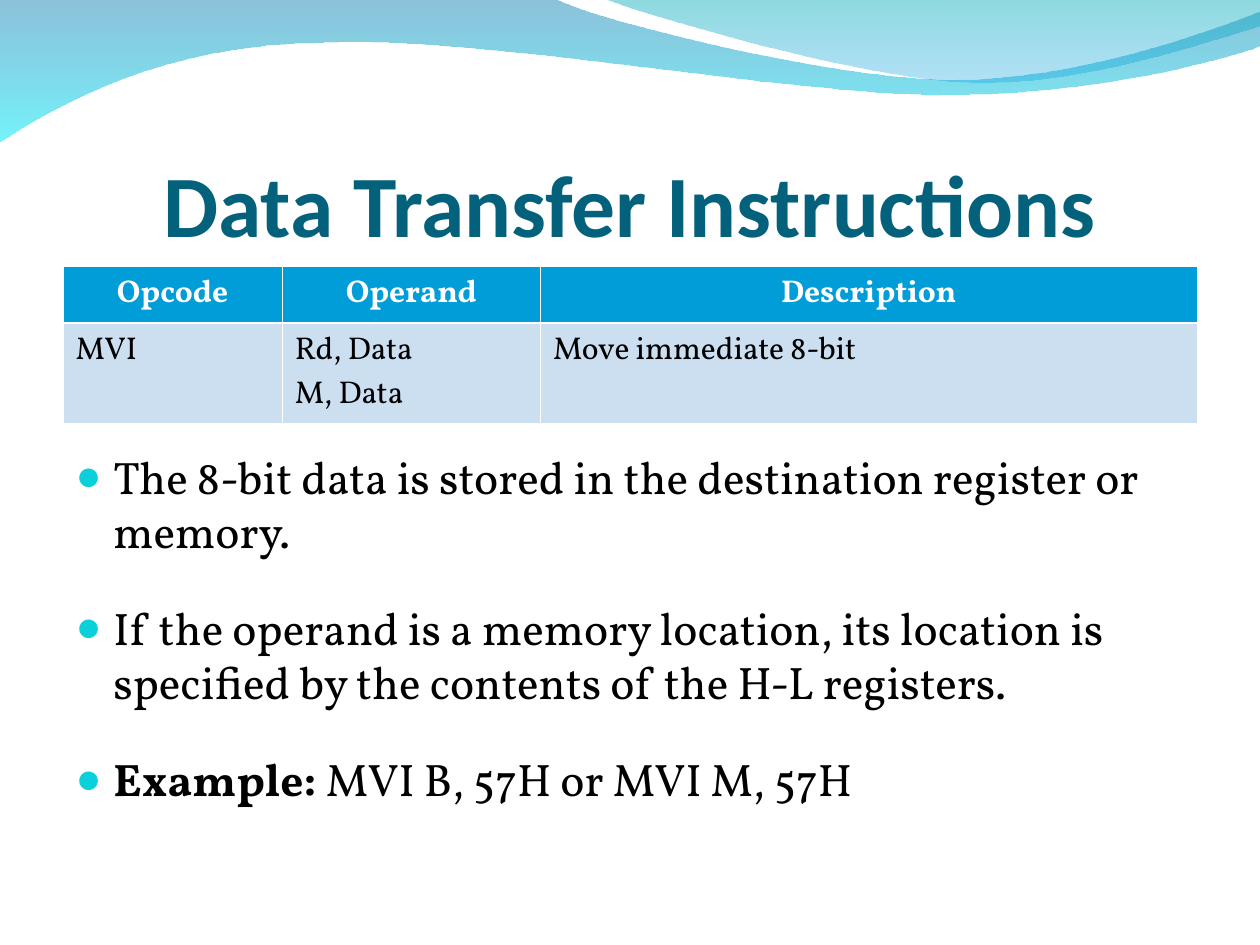
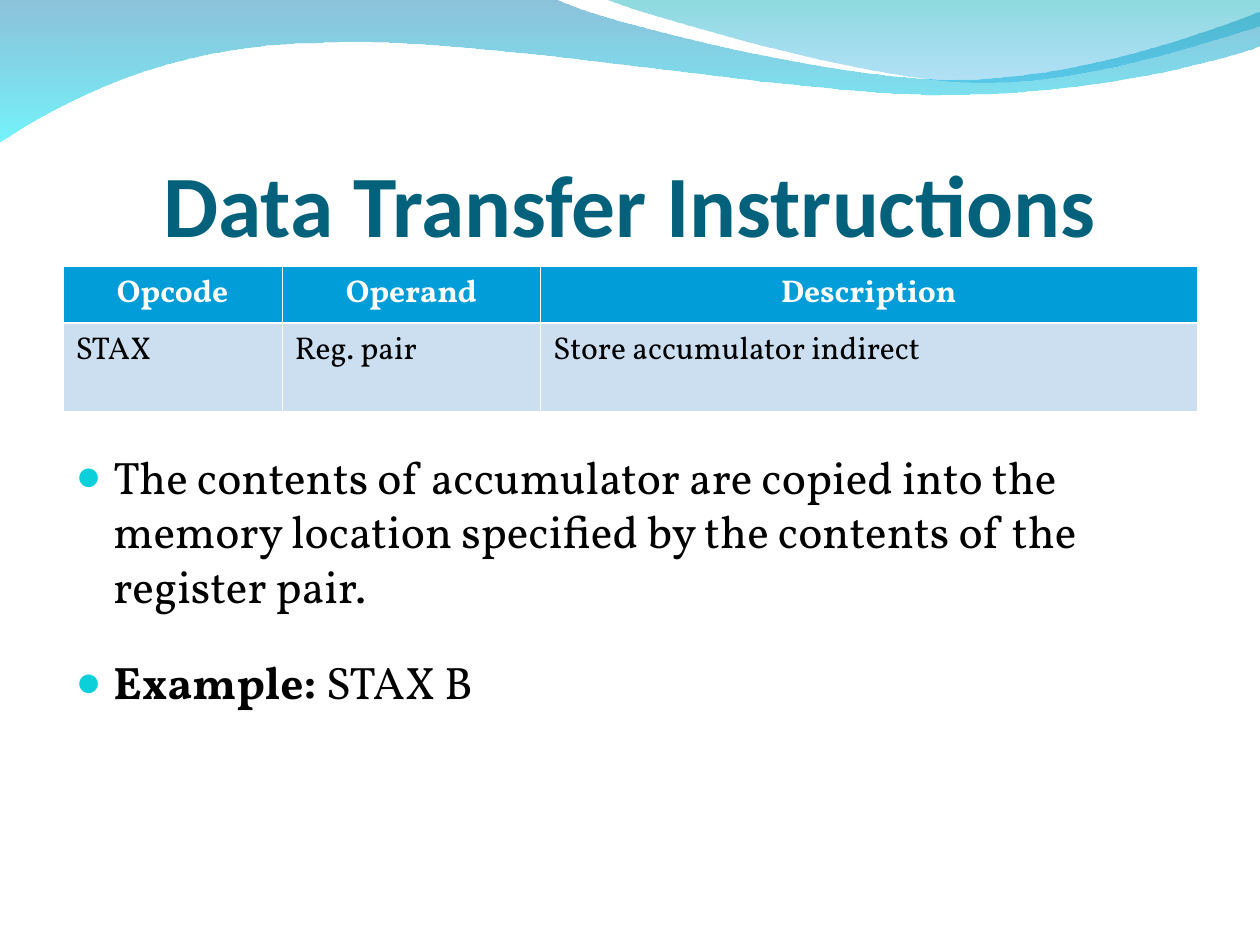
from dataclasses import dataclass

from lxml import etree
from pptx import Presentation
from pptx import util as u
from pptx.dml.color import RGBColor
from pptx.enum import text
from pptx.oxml import ns


@dataclass(frozen=True)
class Theme:
    title_color: str = "04617B"
    body_color: str = "000000"
    bullet_color: str = "0BD0D9"
    header_fill: str = "009DD9"
    row_fill: str = "CBDFF1"
    white: str = "FFFFFF"
    title_font: str = "Calibri"
    body_font: str = "Vollkorn"
    title_size: int = 50
    body_size: int = 26
    table_size: int = 18
    thin: float = 0.45
    thick: float = 1.47


COLS, ROWS = 20, 15
TITLE_BOX = (1, 1.55, 18, 2.5)
TABLE_BOX = (1, 4.23, 18, 2.22)
BODY_BOX = (1, 7.02, 18, 6.8)
COLUMN_WIDTHS = (3.48, 4.1, 10.42)
ROW_HEIGHTS = (0.82, 1.4)
HEADER = ("Opcode", "Operand", "Description")

# Each wave: start point, then segments (one point is a line, three are a curve),
# and gradient stops as (colour, opacity in percent).
WAVES = [
    ((0, -0.02),
     [[(8.8, -0.02)],
      [(9.52, 0.34), (13.28, 1.26), (15.16, 1.26)],
      [(17.06, 1.26), (19.16, 0.52), (20, 0.18)],
      [(20.02, 0.72)],
      [(19.66, 0.88), (17.4, 1.52), (14.92, 1.5)],
      [(12.44, 1.5), (7.64, 0.56), (5.14, 0.68)],
      [(2.58, 0.7), (0.92, 1.66), (-0.02, 2.26)]],
     [("0079AF", 45), ("00EBF8", 55)]),
    ((9.58, -0.02),
     [[(10.18, 0.22), (13.64, 1.24), (15.38, 1.3)],
      [(17.12, 1.38), (19.22, 0.64), (20, 0.42)],
      [(20, 0)]],
     [("00ADB6", 45), ("009BE5", 30)]),
]

SLIDES = [
    dict(row=("MVI", "Rd, Data\nM, Data", "Move immediate 8-bit"),
         notes=[("", "The 8-bit data is stored in the destination register or memory."),
                ("", "If the operand is a memory location, its location is specified "
                     "by the contents of the H-L registers."),
                ("Example:", " MVI B, 57H or MVI M, 57H")]),
    dict(row=("STAX", "Reg. pair", "Store accumulator indirect"),
         notes=[("", "The contents of accumulator are copied into the memory location "
                     "specified by the contents of the register pair."),
                ("Example:", " STAX B")]),
]


def assign(obj, values):
    for name, value in values.items():
        setattr(obj, name, value)


def add_xml(parent, tag, **attrs):
    return etree.SubElement(parent, ns.qn(tag), attrs)


def bend(sp, segments):
    """Join the straight pieces of each three-point segment into one Bezier curve."""
    lines = iter(list(sp.element.spPr.iter(ns.qn("a:lnTo"))))
    for seg in segments:
        first, *others = [next(lines) for _ in seg]
        if others:
            first.tag = ns.qn("a:cubicBezTo")
            for line in others:
                first.append(line[0])
                line.getparent().remove(line)


class Deck:
    def __init__(self, theme):
        self.theme = theme
        self.prs = Presentation()
        assign(self.prs, dict(slide_width=u.Inches(10), slide_height=u.Inches(7.5)))
        self.s = None

    def x(self, columns):
        return round(self.prs.slide_width * columns / COLS)

    def y(self, rows):
        return round(self.prs.slide_height * rows / ROWS)

    def box(self, left, top, width, height):
        return dict(left=self.x(left), top=self.y(top),
                    width=self.x(width), height=self.y(height))

    def new_slide(self):
        self.s = self.prs.slides.add_slide(self.prs.slide_layouts[1])
        for depth, wave in enumerate(WAVES):
            self.wave(depth, *wave)

    def style(self, font, name, size, color, bold=False):
        assign(font, dict(name=name, size=u.Pt(size), bold=bold))
        font.color.rgb = RGBColor.from_string(color)

    def wave(self, depth, start, segments, stops):
        points = [(self.x(px), self.y(py)) for px, py in [start, *sum(segments, [])]]
        builder = self.s.shapes.build_freeform(*points[0], scale=1.0)
        builder.add_line_segments(points[1:], close=True)
        sp = builder.convert_to_shape()
        bend(sp, segments)
        sp.shadow.inherit = False
        sp.line.fill.background()
        sp.fill.gradient()
        sp.fill.gradient_angle = 270
        for stop, (color, _) in zip(sp.fill.gradient_stops, stops):
            stop.color.rgb = RGBColor.from_string(color)
        colors = sp.element.spPr.iter(ns.qn("a:srgbClr"))
        for clr, (_, opacity) in zip(colors, stops):
            add_xml(clr, "a:alpha", val=str(opacity * 1000))
        # Waves lie behind the placeholders.
        self.s.shapes.element.insert(2 + depth, sp.element)

    def title(self, words):
        th, sp = self.theme, self.s.shapes.title
        assign(sp, self.box(*TITLE_BOX))
        tf = sp.text_frame
        assign(tf, dict(text=words, word_wrap=True, auto_size=text.MSO_AUTO_SIZE.NONE,
                        vertical_anchor=text.MSO_ANCHOR.BOTTOM, margin_left=0,
                        margin_top=u.Inches(0.05), margin_right=0, margin_bottom=0))
        p = tf.paragraphs[0]
        p.alignment = text.PP_ALIGN.CENTER
        self.style(p.font, th.title_font, th.title_size, th.title_color, True)

    def borders(self, cell, is_header):
        th = self.theme
        top, bottom = (th.thin, th.thick) if is_header else (th.thick, th.thin)
        tc_pr = cell._tc.get_or_add_tcPr()
        for side, width in zip("LRTB", (th.thin, th.thin, top, bottom)):
            ln = add_xml(tc_pr, f"a:ln{side}", w=str(u.Pt(width)))
            add_xml(add_xml(ln, "a:solidFill"), "a:srgbClr", val=th.white)

    def table(self, rows):
        th = self.theme
        frame = self.s.shapes.add_table(len(rows), len(HEADER), **self.box(*TABLE_BOX))
        tbl = frame.table
        for column, width in zip(tbl.columns, COLUMN_WIDTHS):
            column.width = self.x(width)
        for i, (row, height) in enumerate(zip(rows, ROW_HEIGHTS)):
            tbl.rows[i].height = self.y(height)
            is_header = i == 0
            for j, words in enumerate(row):
                cell = tbl.cell(i, j)
                self.borders(cell, is_header)
                cell.fill.solid()
                cell.fill.fore_color.rgb = RGBColor.from_string(
                    th.header_fill if is_header else th.row_fill)
                cell.text = words
                for p in cell.text_frame.paragraphs:
                    p.alignment = text.PP_ALIGN.CENTER if is_header else text.PP_ALIGN.LEFT
                    self.style(p.runs[0].font, th.body_font, th.table_size,
                               th.white if is_header else th.body_color, is_header)

    def bullet(self, p):
        p_pr = p._p.get_or_add_pPr()
        indent = u.Inches(0.3)
        p_pr.set("marL", str(indent))
        p_pr.set("indent", str(-indent))
        add_xml(add_xml(p_pr, "a:buClr"), "a:srgbClr", val=self.theme.bullet_color)
        add_xml(p_pr, "a:buSzPct", val="95000")
        add_xml(p_pr, "a:buChar", char="●")

    def body(self, notes):
        """Bulleted list; each note is a bold lead and plain words."""
        th, sp = self.theme, self.s.placeholders[1]
        assign(sp, self.box(*BODY_BOX))
        tf = sp.text_frame
        assign(tf, dict(word_wrap=True, auto_size=text.MSO_AUTO_SIZE.NONE,
                        vertical_anchor=text.MSO_ANCHOR.TOP))
        for i, (lead, words) in enumerate(notes):
            p = tf.add_paragraph() if i else tf.paragraphs[0]
            self.bullet(p)
            assign(p, dict(line_spacing=1.0, space_before=u.Pt(0), space_after=u.Pt(24)))
            for part, bold in ((lead, True), (words, False)):
                if part:
                    r = p.add_run()
                    r.text = part
                    self.style(r.font, th.body_font, th.body_size, th.body_color, bold)


def main():
    deck = Deck(Theme())
    for content in SLIDES:
        deck.new_slide()
        deck.title("Data Transfer Instructions")
        deck.table([HEADER, content["row"]])
        deck.body(content["notes"])
    deck.prs.save("out.pptx")


if __name__ == "__main__":
    main()
